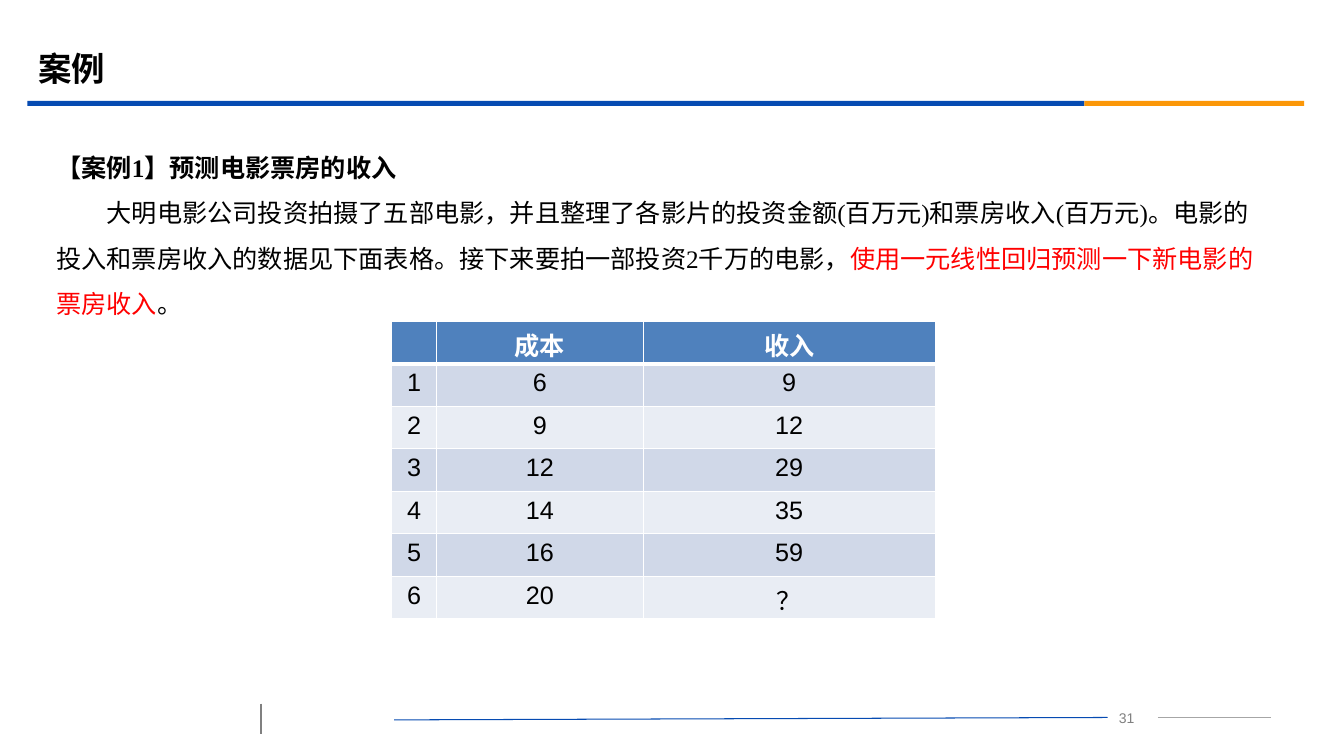
from lxml import etree
from pptx import Presentation
from pptx.dml.color import RGBColor
from pptx.enum.shapes import MSO_CONNECTOR, MSO_SHAPE
from pptx.enum.text import MSO_ANCHOR, PP_ALIGN
from pptx.oxml.ns import qn
from pptx.util import Cm, Pt

STRAIGHT = MSO_CONNECTOR.STRAIGHT
RECTANGLE = MSO_SHAPE.RECTANGLE
MIDDLE = MSO_ANCHOR.MIDDLE
LEFT, CENTER = PP_ALIGN.LEFT, PP_ALIGN.CENTER

BLACK = RGBColor(0x00, 0x00, 0x00)
WHITE = RGBColor(0xFF, 0xFF, 0xFF)
RED = RGBColor(0xFF, 0x00, 0x00)
BLUE = RGBColor(0x06, 0x4B, 0xB2)
ORANGE = RGBColor(0xFB, 0x97, 0x08)
GRAY = RGBColor(0x80, 0x80, 0x80)
LIGHT_GRAY = RGBColor(0xA6, 0xA6, 0xA6)
HEADER_BLUE = RGBColor(0x4F, 0x81, 0xBD)
BANDS = [RGBColor(0xD0, 0xD8, 0xE8), RGBColor(0xE9, 0xED, 0xF4)]


def add_span(para, text, color, **formats):
    span = para.add_run()
    span.text = text
    span.font.color.rgb = color
    for name, value in formats.items():
        setattr(span.font, name, value)


def add_border(cell, side, width):
    line = etree.SubElement(cell._tc.get_or_add_tcPr(), qn(f"a:ln{side}"), w=str(Pt(width)))
    fill = etree.SubElement(line, qn("a:solidFill"))
    etree.SubElement(fill, qn("a:srgbClr"), val=str(WHITE))


deck = Presentation()
deck.slide_width, deck.slide_height = Cm(33.87), Cm(19.05)
page = deck.slides.add_slide(deck.slide_layouts[5])

footer_lines = [
    (6.58, 17.73, 6.58, 18.49, GRAY, 1.25),
    (29.18, 18.08, 32.03, 18.08, LIGHT_GRAY, 0.75),
    (9.93, 18.14, 27.91, 18.08, BLUE, 0.75),
]
for x1, y1, x2, y2, color, width in footer_lines:
    line = page.shapes.add_connector(STRAIGHT, Cm(x1), Cm(y1), Cm(x2), Cm(y2))
    line.line.color.rgb = color
    line.line.width = Pt(width)
    etree.SubElement(line._element.spPr, qn("a:effectLst"))

for left, width, color in [(0.69, 26.64, BLUE), (27.33, 5.54, ORANGE)]:
    bar = page.shapes.add_shape(RECTANGLE, Cm(left), Cm(2.54), Cm(width), Cm(0.13))
    bar.shadow.inherit = False
    bar.fill.solid()
    bar.fill.fore_color.rgb = color
    bar.line.fill.background()

title = page.shapes.title
title_place = {"left": Cm(0.71), "top": Cm(0.99), "width": Cm(30.48), "height": Cm(1.47)}
for name, value in title_place.items():
    setattr(title, name, value)
title.text_frame.vertical_anchor = MIDDLE
para = title.text_frame.paragraphs[0]
para.alignment = LEFT
add_span(para, "案例", BLACK, size=Pt(23.9), name="Montserrat", bold=True)

number_box = page.shapes.add_textbox(Cm(27.61), Cm(17.75), Cm(1.57), Cm(0.64))
number_box.text_frame.word_wrap = True
para = number_box.text_frame.paragraphs[0]
para.alignment = CENTER
add_span(para, "31", GRAY, size=Pt(10), name="Arial")

body = page.shapes.add_textbox(Cm(1.17), Cm(3.33), Cm(30.86), Cm(5.18))
body.text_frame.word_wrap = True
heading = body.text_frame.paragraphs[0]
story = body.text_frame.add_paragraph()
for para in (heading, story):
    para.line_spacing = 1.5
heading.space_before = Pt(3.6)
story._p.get_or_add_pPr().set("indent", str(Cm(1.27)))
body_spans = [
    (heading, "【案例1】预测电影票房的收入", BLACK, True),
    (story, "大明电影公司投资拍摄了五部电影，并且整理了各影片的投资金额(百万元)和票房收入(百万元)。"
            "电影的投入和票房收入的数据见下面表格。接下来要拍一部投资2千万的电影，", BLACK, False),
    (story, "使用一元线性回归预测一下新电影的票房收入", RED, False),
    (story, "。", BLACK, False),
]
for para, text, color, bold in body_spans:
    add_span(para, text, color, size=Pt(18), name="Times New Roman", bold=bold)

rows = [
    ("", "成本", "收入"),
    ("1", "6", "9"),
    ("2", "9", "12"),
    ("3", "12", "29"),
    ("4", "14", "35"),
    ("5", "16", "59"),
    ("6", "20", "？"),
]
column_widths = [1.13, 5.21, 7.36]
row_height = 1.07
table = page.shapes.add_table(
    len(rows), len(column_widths), Cm(9.87), Cm(8.1),
    Cm(sum(column_widths)), Cm(row_height * len(rows))).table
for column, width in zip(table.columns, column_widths):
    column.width = Cm(width)
for r, texts in enumerate(rows):
    is_header = r == 0
    table.rows[r].height = Cm(row_height)
    for c, text in enumerate(texts):
        cell = table.cell(r, c)
        border_widths = {"L": 1, "R": 1, "T": 3 if r == 1 else 1, "B": 3 if is_header else 1}
        for side, width in border_widths.items():
            add_border(cell, side, width)
        cell.fill.solid()
        cell.fill.fore_color.rgb = HEADER_BLUE if is_header else BANDS[(r - 1) % 2]
        para = cell.text_frame.paragraphs[0]
        para.alignment = CENTER
        para.font.size = Pt(18)
        if text:
            add_span(para, text, WHITE if is_header else BLACK,
                     size=Pt(18), name="Arial", bold=is_header)

deck.save("out.pptx")
